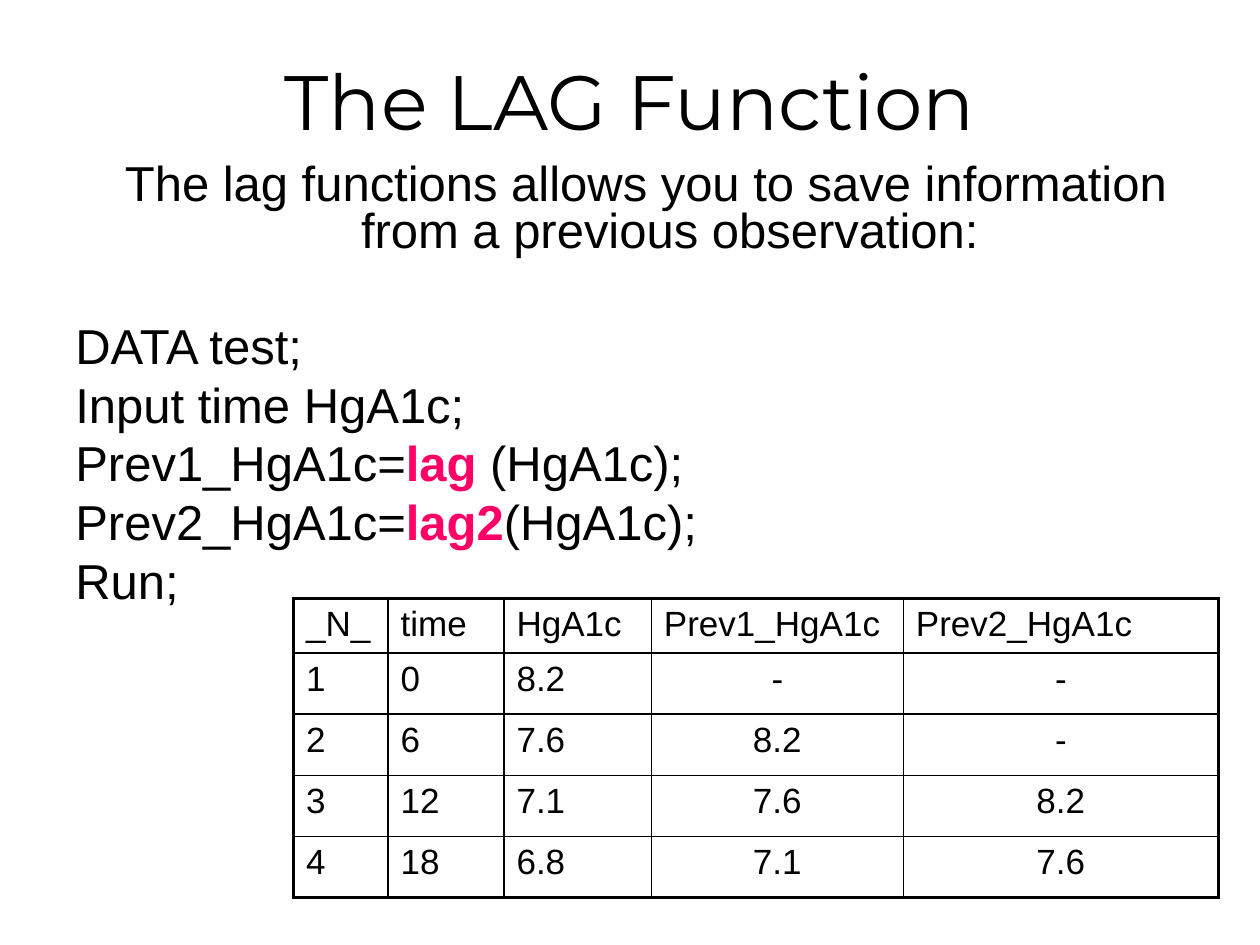
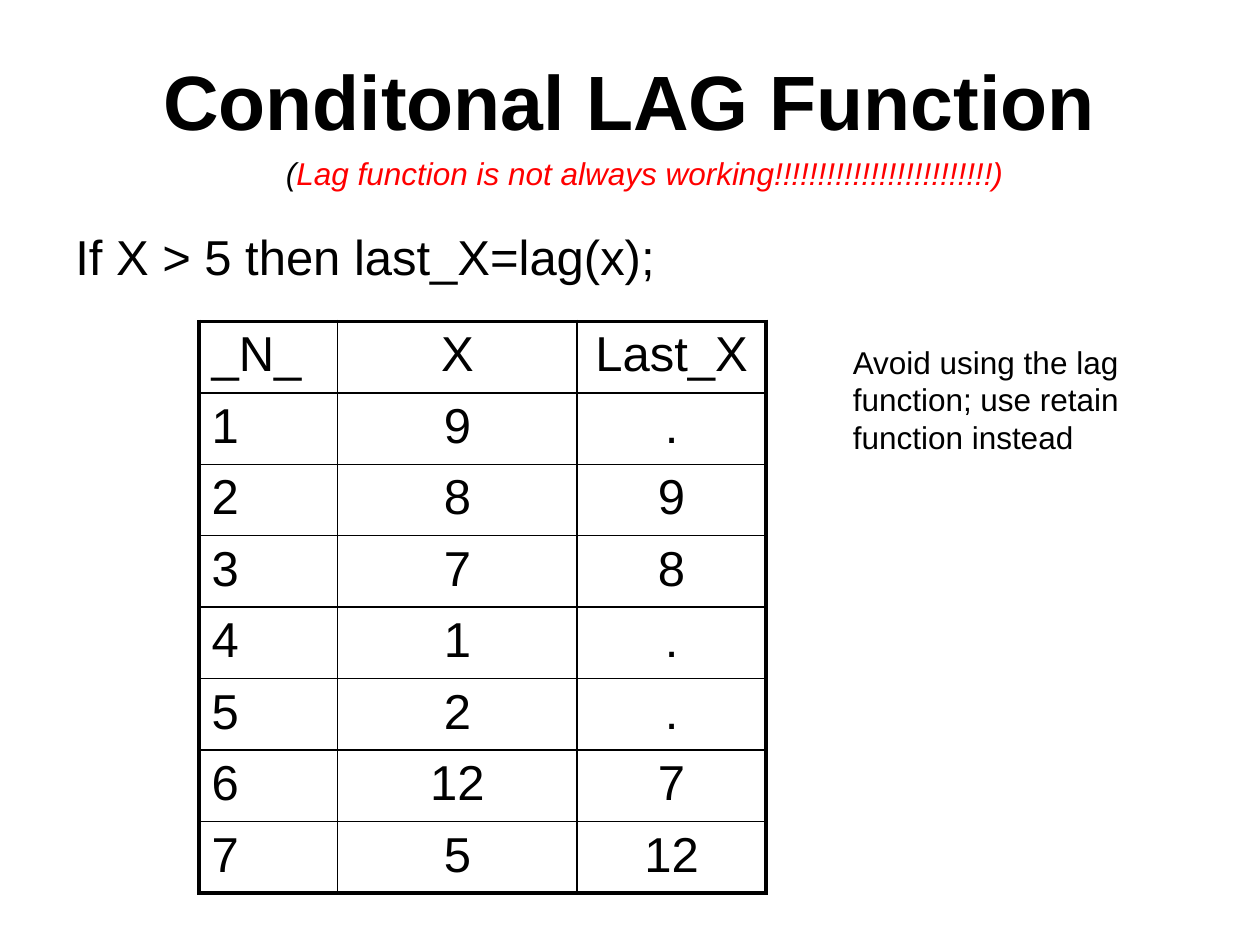
from lxml.etree import SubElement
from pptx import Presentation
from pptx.dml.color import RGBColor as RGB
from pptx.enum.text import MSO_ANCHOR as ANCHOR, MSO_AUTO_SIZE as FIT, PP_ALIGN as AL
from pptx.oxml.ns import qn
from pptx.util import Inches, Pt

COLORS = {"ink": "000000", "pink": "FF0066", "red": "FF0000"}
FONT, TITLE_FONT = "Arial", "Montserrat"
TITLE_BOX = (0.5, 0.17, 9, 1.25)
HANG = 0.38
THIN, THICK = 1, 2.25
FIRST_GAP, LINE_GAP, BLOCK_GAP = 2.8, 6.6, 39.5

INTRO = [("The lag functions allows you to save information from a previous observation:",)]
CODE = [
    [("DATA test;",)],
    [("Input time HgA1c;",)],
    [("Prev1_HgA1c=",), ("lag ", "pink", "b"), ("(HgA1c);",)],
    [("Prev2_HgA1c=",), ("lag2", "pink", "b"), ("(HgA1c);",)],
    [("Run;",)],
]
CONDITION = [("If X > 5 then last_X=lag(x);",)]
WARNING = [("(", "ink", "i"),
           ("Lag function is not always working!!!!!!!!!!!!!!!!!!!!!!!!!)", "red", "i")]
ADVICE = [("Avoid using the lag function; use retain function instead",)]

LAG_TABLE = {
    "at": (2.33, 4.75), "cols": [0.75, 0.92, 1.17, 2, 2.5],
    "heights": [0.43] + [0.485] * 4, "size": 20,
    "centered": lambda row, col: row > 0 and col > 2,
    "rows": [
        ("_N_", "time", "HgA1c", "Prev1_HgA1c", "Prev2_HgA1c"),
        ("1", "0", "8.2", "-", "-"),
        ("2", "6", "7.6", "8.2", "-"),
        ("3", "12", "7.1", "7.6", "8.2"),
        ("4", "18", "6.8", "7.1", "7.6"),
    ],
}
CONDITIONAL_TABLE = {
    "at": (1.58, 2.55), "cols": [1.1, 1.9, 1.5],
    "heights": [4.53 / 8] * 8, "size": 28,
    "centered": lambda row, col: col > 0,
    "rows": [
        ("_N_", "X", "Last_X"),
        ("1", "9", "."),
        ("2", "8", "9"),
        ("3", "7", "8"),
        ("4", "1", "."),
        ("5", "2", "."),
        ("6", "12", "7"),
        ("7", "5", "12"),
    ],
}


def add_run(p, text, color="ink", style="", size=28, font=FONT):
    r = p.add_run()
    r.text = text
    r.font.name, r.font.size = font, Pt(size)
    r.font.bold, r.font.italic = "b" in style, "i" in style
    r.font.color.rgb = RGB.from_string(COLORS[color])


def add_slide(prs, title, font, style=""):
    s = prs.slides.add_slide(prs.slide_layouts[5])
    sp = s.shapes.title
    sp.left, sp.top, sp.width, sp.height = map(Inches, TITLE_BOX)
    tf = sp.text_frame
    tf.auto_size, tf.vertical_anchor = FIT.NONE, ANCHOR.MIDDLE
    tf.paragraphs[0].alignment = AL.CENTER
    add_run(tf.paragraphs[0], title, style=style, size=44, font=font)
    return s


def add_text(s, box, lines, size=28, wrap=True):
    tf = s.shapes.add_textbox(*map(Inches, box)).text_frame
    tf.word_wrap = wrap
    for i, runs in enumerate(lines):
        p = tf.paragraphs[0] if i == 0 else tf.add_paragraph()
        for run in runs:
            add_run(p, *run, size=size)
    return tf.paragraphs


def hang(p, gap, spacing=1.0):
    p.space_before, p.line_spacing = Pt(gap), spacing
    pPr = p._p.get_or_add_pPr()
    pPr.set("marL", str(Inches(HANG)))
    pPr.set("indent", str(-Inches(HANG)))


def set_borders(cell, widths):
    tcPr = cell._tc.get_or_add_tcPr()
    for side, width in widths.items():
        ln = SubElement(tcPr, qn("a:ln" + side), w=str(Pt(width)))
        fill = SubElement(ln, qn("a:solidFill"))
        SubElement(fill, qn("a:srgbClr"), val=COLORS["ink"])


def add_grid(s, spec_):
    rows, cols, heights = spec_["rows"], spec_["cols"], spec_["heights"]
    box = (*spec_["at"], sum(cols), sum(heights))
    table = s.shapes.add_table(len(rows), len(cols), *map(Inches, box)).table
    table.first_row = table.horz_banding = False
    for column, width in zip(table.columns, cols):
        column.width = Inches(width)
    for row, height in zip(table.rows, heights):
        row.height = Inches(height)
    for i, values in enumerate(rows):
        for j, value in enumerate(values):
            cell = table.cell(i, j)
            p = cell.text_frame.paragraphs[0]
            p.alignment = AL.CENTER if spec_["centered"](i, j) else AL.LEFT
            add_run(p, value, size=spec_["size"])
            edges = {"L": j == 0, "R": j == len(cols) - 1,
                     "T": i == 0, "B": i == len(rows) - 1}
            set_borders(cell, {k: THICK if outer else THIN for k, outer in edges.items()})
            cell.fill.background()


def lag_slide(prs):
    s = add_slide(prs, "The LAG Function", TITLE_FONT)
    intro, *code = add_text(s, (0.5, 1.25, 9.25, 3.5), [INTRO, *CODE])
    intro.alignment = AL.CENTER
    hang(intro, FIRST_GAP, 0.8)
    for i, p in enumerate(code):
        hang(p, LINE_GAP if i else BLOCK_GAP, 0.8)
    add_grid(s, LAG_TABLE)


def conditional_slide(prs):
    s = add_slide(prs, "Conditonal LAG Function", FONT, "b")
    hang(add_text(s, (0.5, 1.75, 8.67, 0.83), [CONDITION])[0], FIRST_GAP)
    add_grid(s, CONDITIONAL_TABLE)
    add_text(s, (2.17, 1.17, 5.95, 0.4), [WARNING], size=18, wrap=False)
    add_text(s, (6.67, 2.67, 2.83, 1.01), [ADVICE], size=18)


def main():
    prs = Presentation()
    prs.slide_width, prs.slide_height = Inches(10), Inches(7.5)
    lag_slide(prs)
    conditional_slide(prs)
    prs.save("out.pptx")


if __name__ == "__main__":
    main()
